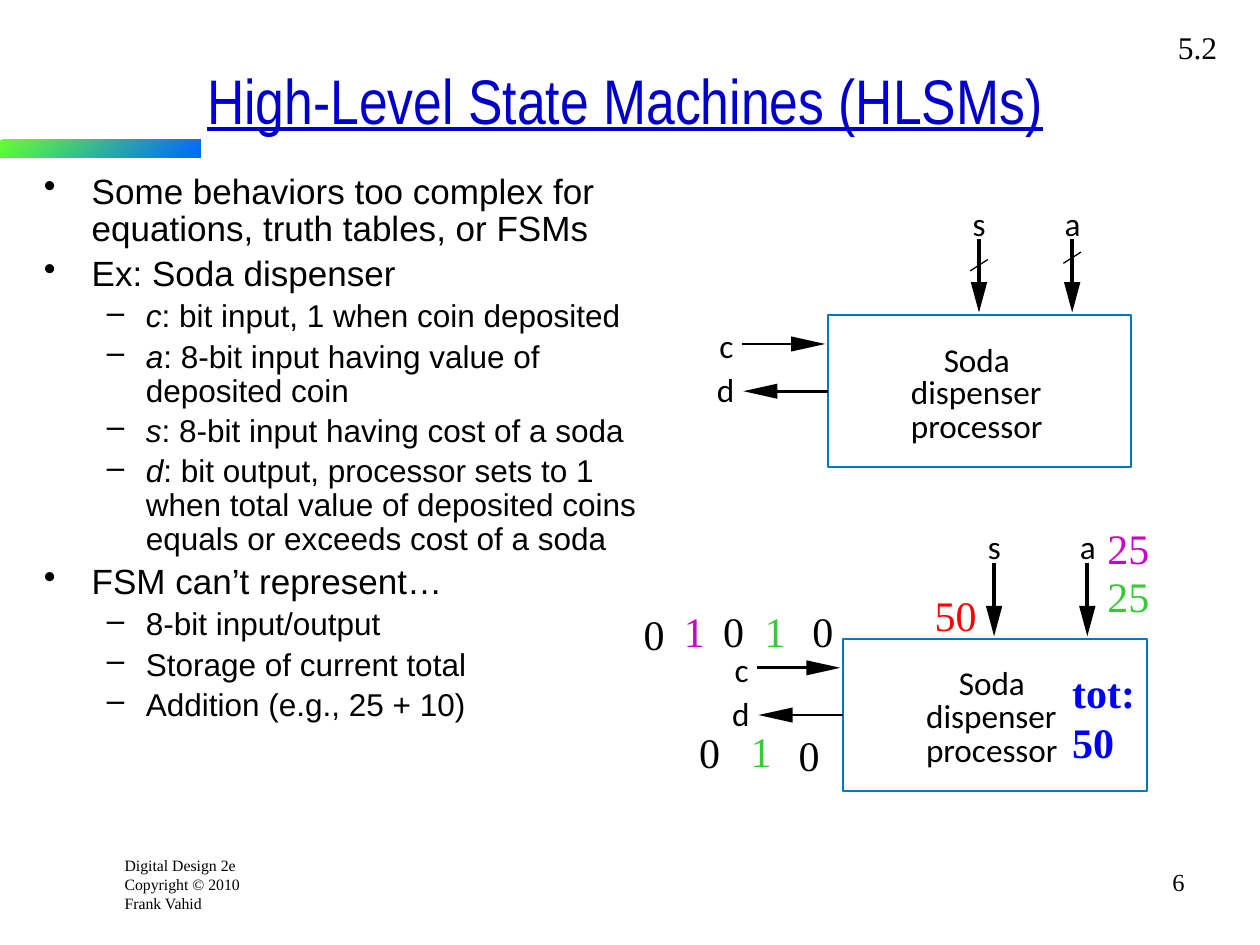
"""Build the slide on high-level state machines with two soda dispenser diagrams."""
import lxml.etree
import pptx
import pptx.dml.color
import pptx.enum.shapes
import pptx.enum.text
import pptx.oxml.ns
import pptx.util

COLORS = {
    "black": "000000", "title": "0000CC", "box": "0078C1", "total": "0000FF",
    "magenta": "CC00CC", "green": "33CC33", "red": "FF0000",
    "bar_start": "66FF33", "bar_end": "0066FF",
}
RGB = {k: pptx.dml.color.RGBColor.from_string(v) for k, v in COLORS.items()}
ALIGN = pptx.enum.text.PP_ALIGN
FIT = pptx.enum.text.MSO_AUTO_SIZE
RECT = pptx.enum.shapes.MSO_SHAPE.RECTANGLE
qn = pptx.oxml.ns.qn

prs = pptx.Presentation()
prs.slide_width = pptx.util.Inches(10)
prs.slide_height = pptx.util.Inches(7.5)
s = prs.slides.add_slide(prs.slide_layouts[5])
CELL = prs.slide_width / 100


def add_text(box, lines, size, font="Times New Roman", color="black",
             bold=None, wrap=False, align=None, inset=(1, 0.5)):
    """Place lines of text in a box given in grid cells."""
    sp = s.shapes.add_textbox(*(round(v * CELL) for v in box))
    tf = sp.text_frame
    tf.word_wrap = wrap
    tf.auto_size = FIT.NONE if wrap else FIT.SHAPE_TO_FIT_TEXT
    tf.margin_left = tf.margin_right = round(inset[0] * CELL)
    tf.margin_top = tf.margin_bottom = round(inset[1] * CELL)
    tf.text = "\n".join(lines)
    for p in tf.paragraphs:
        p.alignment = align
        p.font.size = pptx.util.Pt(size)
        p.font.name = font
        p.font.bold = bold
        p.font.color.rgb = RGB[color]
    return tf


def add_line(x1, y1, x2, y2, width):
    """Draw a black straight line between two grid points."""
    sp = s.shapes.add_connector(pptx.enum.shapes.MSO_CONNECTOR.STRAIGHT,
                                *(round(v * CELL) for v in (x1, y1, x2, y2)))
    sp.line.color.rgb = RGB["black"]
    sp.line.width = pptx.util.Pt(width)
    lxml.etree.SubElement(sp.element.spPr, qn("a:effectLst"))
    return sp


bar = s.shapes.add_shape(RECT, *(round(v * CELL) for v in (0, 11.1, 15.9, 1.4)))
bar.shadow.inherit = False
bar.line.fill.background()
bar.fill.gradient()
bar.fill.gradient_angle = 315
for stop, name in zip(bar.fill.gradient_stops, ("bar_start", "bar_end")):
    stop.color.rgb = RGB[name]

title = s.shapes.title
title.left, title.top, title.width, title.height = (
    round(v * CELL) for v in (2.5, 3.3, 94.2, 9.2))
tf = title.text_frame
tf.text = "High-Level State Machines (HLSMs)"
tf.auto_size = FIT.NONE
tf.vertical_anchor = pptx.enum.text.MSO_ANCHOR.MIDDLE
p = tf.paragraphs[0]
p.alignment = ALIGN.CENTER
p.font.size = pptx.util.Pt(36)
p.font.name = "Arial Narrow"
p.font.underline = True
p.font.color.rgb = RGB["title"]

BULLETS = [
    (0, "", "Some behaviors too complex for equations, truth tables, or FSMs"),
    (0, "", "Ex: Soda dispenser"),
    (1, "c", ": bit input, 1 when coin deposited"),
    (1, "a", ": 8-bit input having value of deposited coin"),
    (1, "s", ": 8-bit input having cost of a soda"),
    (1, "d", ": bit output, processor sets to 1 when total value of "
             "deposited coins equals or exceeds cost of a soda"),
    (0, "", "FSM can’t represent…"),
    (1, "", "8-bit input/output"),
    (1, "", "Storage of current total"),
    (1, "", "Addition (e.g., 25 + 10)"),
]
LEVELS = [(20, 3.8, -3.8, "•"), (18, 8.1, -3.1, "–")]
tf = add_text((2.5, 13.3, 49.3, 52.8), [""] * len(BULLETS), 20, "Arial", wrap=True)
for p, (level, signal, words) in zip(tf.paragraphs, BULLETS):
    size, margin, indent, mark = LEVELS[level]
    p.level = level
    p.line_spacing = 0.9
    p.space_before = pptx.util.Pt(size * 0.2)
    p.font.size = pptx.util.Pt(size)
    pPr = p._p.get_or_add_pPr()
    pPr.set("marL", str(round(margin * CELL)))
    pPr.set("indent", str(round(indent * CELL)))
    bullet = lxml.etree.Element(qn("a:buChar"), char=mark)
    pPr.find(qn("a:defRPr")).addprevious(bullet)
    if signal:
        r = p.add_run()
        r.text = signal
        r.font.italic = True
    r = p.add_run()
    r.text = words

LABELS = [
    ("s", 11.5, -8.9, 1.3), ("a", 18.8, -8.9, 1.5),
    ("c", -8.6, 0.8, 1.3), ("d", -8.8, 4.3, 1.5),
    ("Soda", 9.2, 1.9, 6.2), ("dispenser", 6.6, 4.5, 11.5), ("processor", 6.6, 7.2, 11.6),
]
BOX_W, BOX_H = 24.1, 12.1
ARROWS = [
    ((12, -6), (12, -0.2), 2.38, 2.4, 0.65),
    ((19.4, -6), (19.4, -0.2), 2.38, 2.4, 0.65),
    ((-6.8, 2.3), (-0.2, 2.3), 1.5, 2.7, 0.6),
    ((0, BOX_H / 2), (-6.7, BOX_H / 2), 1.5, 2.7, 0.6),
]
for left, top in ((65.7, 25), (66.9, 50.7)):
    box = s.shapes.add_shape(RECT, *(round(v * CELL) for v in (left, top, BOX_W, BOX_H)))
    box.shadow.inherit = False
    box.fill.background()
    box.line.color.rgb = RGB["box"]
    box.line.width = pptx.util.Pt(1.13)
    for (x1, y1), (x2, y2), width, length, half in ARROWS:
        dx = (x2 > x1) - (x2 < x1)
        dy = (y2 > y1) - (y2 < y1)
        base_x, base_y = left + x2 - dx * length, top + y2 - dy * length
        line = add_line(left + x1, top + y1, base_x + dx, base_y + dy, width)
        if x1 == 0:
            line.begin_connect(box, 1)
        corners = [(base_x + dy * half, base_y + dx * half),
                   (base_x - dy * half, base_y - dx * half)]
        builder = s.shapes.build_freeform(round((left + x2) * CELL), round((top + y2) * CELL))
        builder.add_line_segments([(round(x * CELL), round(y * CELL)) for x, y in corners])
        head = builder.convert_to_shape()
        head.shadow.inherit = False
        head.fill.solid()
        head.fill.fore_color.rgb = RGB["black"]
        head.line.fill.background()
    for label, x, y, width in LABELS:
        add_text((left + x, top + y, width, 3.2), [label], 19, "Calibri", inset=(0, 0))

for x, y in ((77, 21.5), (84.4, 20.9)):
    add_line(x, y, x + 1.4, y - 0.9, 0.75)

VALUES = [
    ("25", 86.9, 41, "magenta"), ("25", 86.9, 44.8, "green"), ("50", 73.2, 46.3, "red"),
    ("0", 50.1, 47.8, "black"), ("1", 53.3, 47.6, "magenta"), ("0", 56.4, 47.6, "black"),
    ("1", 59.7, 47.6, "green"), ("0", 63.5, 47.6, "black"),
    ("0", 54.5, 57.2, "black"), ("1", 58.6, 57.1, "green"), ("0", 62.4, 57.4, "black"),
]
for value, x, y, color in VALUES:
    add_text((x, y, 2.1 + 1.6 * len(value), 5), [value], 24, color=color)
add_text((85.1, 52.4, 5.7, 9), ["tot:", "50"], 24, color="total", bold=True,
         wrap=True, inset=(0, 0.5))

add_text((92.5, 1.7, 5.8, 4), ["5.2"], 18, wrap=True)
add_text((8.9, 67.4, 11.2, 5.5), ["Digital Design 2e", "Copyright © 2010", "Frank Vahid"],
         9, wrap=True)
add_text((74.2, 68.3, 20.8, 5), ["6"], 14, wrap=True, align=ALIGN.RIGHT)

prs.save("out.pptx")
